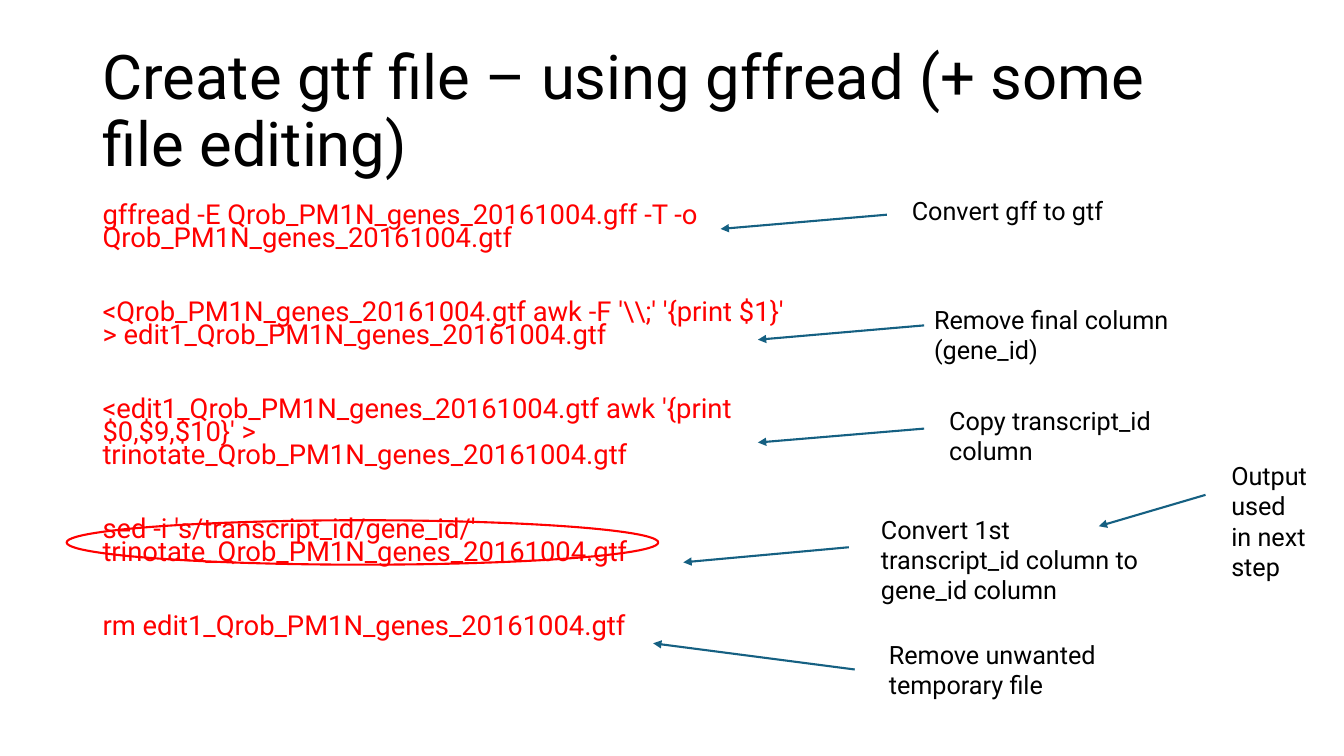
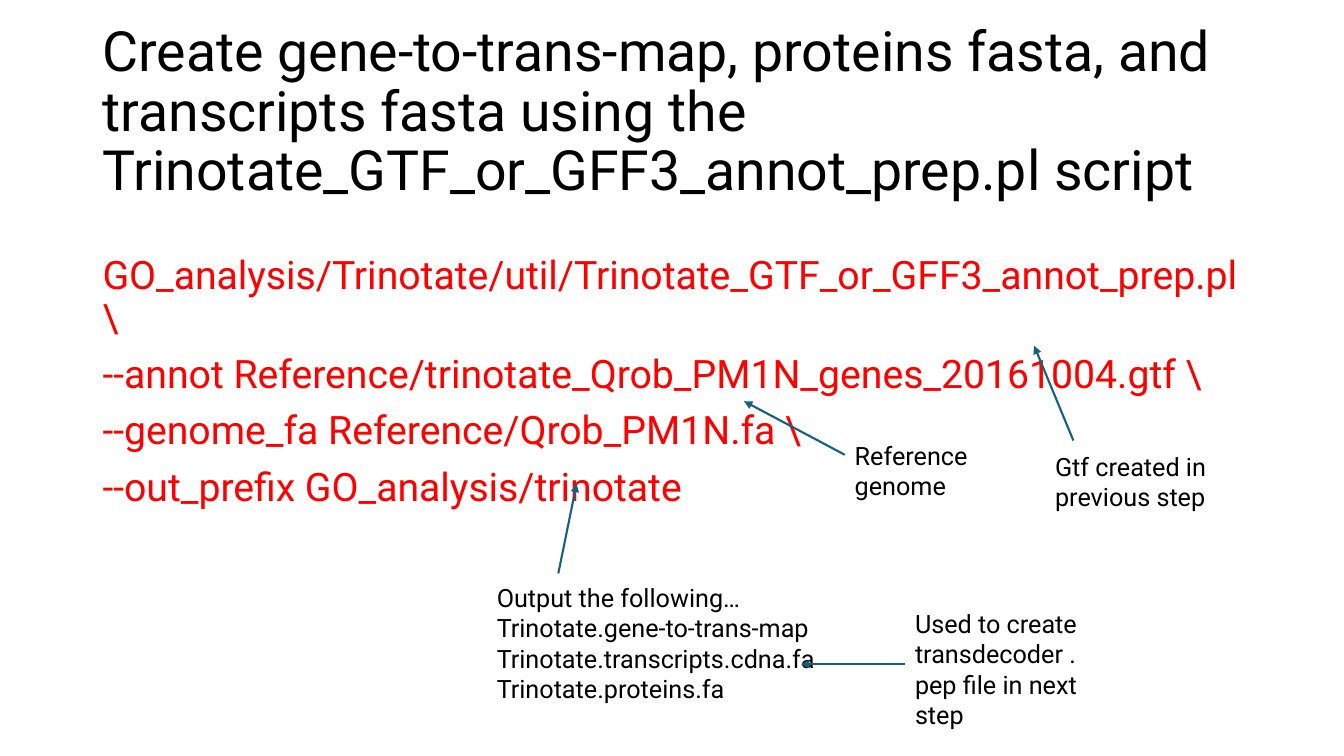
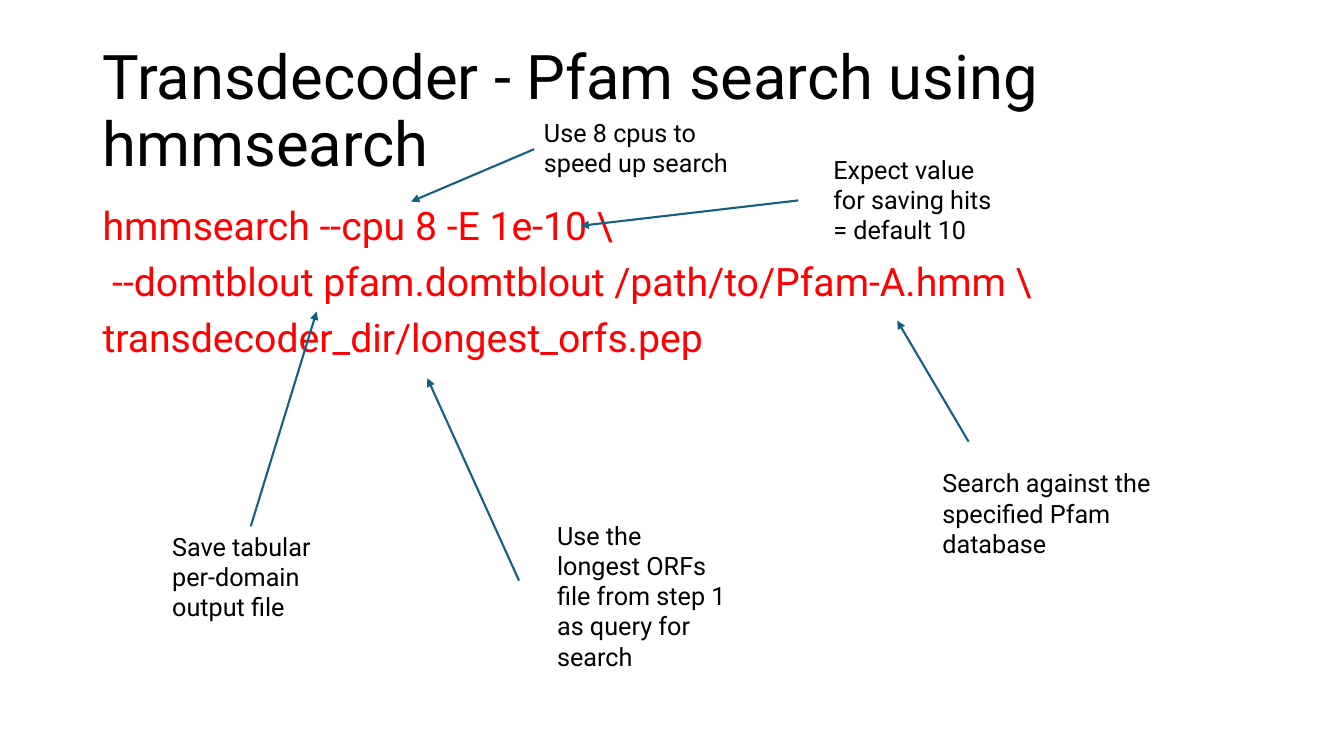
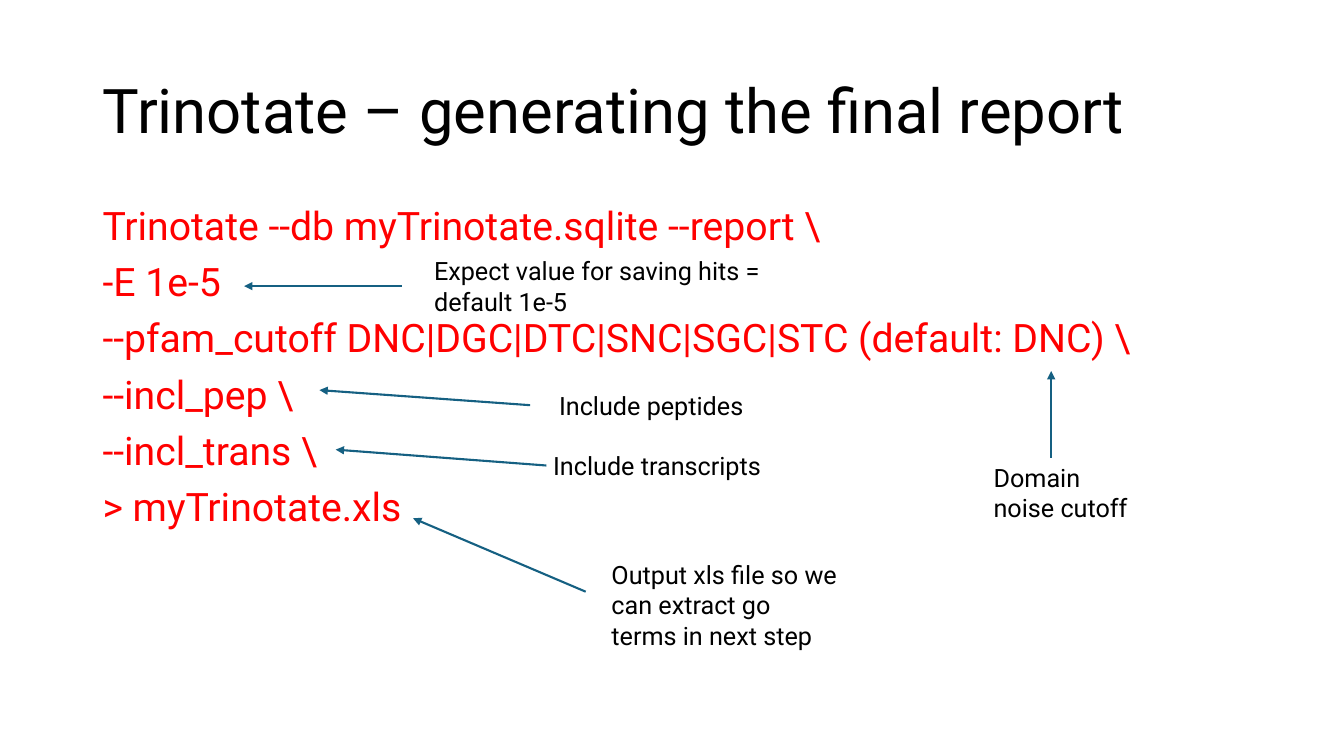
from dataclasses import dataclass

from lxml.etree import SubElement
from pptx import Presentation
from pptx.dml.color import RGBColor
from pptx.enum.shapes import MSO_CONNECTOR, MSO_SHAPE
from pptx.enum.text import MSO_ANCHOR as Anchor, MSO_AUTO_SIZE as AutoSize, PP_ALIGN as Align
from pptx.oxml.ns import qn
from pptx.slide import Slide
from pptx.text.text import TextFrame, _Paragraph as Paragraph
from pptx.util import Cm, Pt


@dataclass(frozen=True)
class Theme:
    font: str = "Roboto"
    text: RGBColor = RGBColor(0, 0, 0)
    code: RGBColor = RGBColor(0xFF, 0, 0)
    arrow: RGBColor = RGBColor(0x15, 0x60, 0x82)
    title_size: float = 44
    code_size: float = 28
    label_size: float = 18
    line_width: float = 1.5
    spacing: float = 0.9
    space_before: float = 10


THEME = Theme()


@dataclass(frozen=True)
class Callout:
    """A label and the arrow that points from it; lengths in cm."""
    text: str
    left: float
    top: float
    width: float
    lines: int
    tail: tuple[float, float]
    head: tuple[float, float]

    @property
    def height(self) -> float:
        return 0.26 + 0.77 * self.lines


@dataclass(frozen=True)
class Box:
    left: float
    top: float
    width: float
    height: float

    def lengths(self) -> tuple[Cm, Cm, Cm, Cm]:
        return Cm(self.left), Cm(self.top), Cm(self.width), Cm(self.height)


@dataclass(frozen=True)
class Page:
    title: str
    commands: list[str]
    callouts: list[Callout]
    body: Box = Box(2.33, 5.07, 29.21, 12.09)
    title_size: float = THEME.title_size
    code_size: float = THEME.code_size
    spacing: float = THEME.spacing
    gap: float = THEME.space_before
    ring: Box | None = None


TITLE_BOX = Box(2.33, 1.01, 29.21, 3.68)

PAGES = [
    Page(
        "Create gtf file – using gffread (+ some file editing)",
        [
            "gffread -E Qrob_PM1N_genes_20161004.gff -T -o Qrob_PM1N_genes_20161004.gtf",
            r"<Qrob_PM1N_genes_20161004.gtf awk -F '\\;' '{print $1}' > edit1_Qrob_PM1N_genes_20161004.gtf",
            "<edit1_Qrob_PM1N_genes_20161004.gtf awk '{print $0,$9,$10}' > trinotate_Qrob_PM1N_genes_20161004.gtf",
            "sed -i 's/transcript_id/gene_id/' trinotate_Qrob_PM1N_genes_20161004.gtf",
            "rm edit1_Qrob_PM1N_genes_20161004.gtf",
        ],
        [
            Callout("Convert gff to gtf", 22.73, 4.8, 7.11, 1, (22.35, 5.41), (18.16, 5.77)),
            Callout("Remove final column (gene_id)", 23.29, 7.54, 7.11, 2, (23.29, 8.2), (19.1, 8.56)),
            Callout("Copy transcript_id column", 23.67, 10.08, 7.11, 2, (23.29, 10.8), (19.1, 11.15)),
            Callout("Convert 1st transcript_id column to gene_id column",
                    21.95, 12.83, 7.11, 3, (21.39, 13.79), (17.22, 14.17)),
            Callout("Remove unwanted temporary file", 22.15, 15.98, 7.11, 2, (21.54, 16.87), (16.46, 16.21)),
            Callout("Output used in next step", 30.78, 11.48, 2.44, 4, (30.38, 12.47), (27.69, 13.26)),
        ],
        body=Box(2.33, 5.07, 17.73, 12.09),
        code_size=19.6,
        spacing=0.7,
        gap=36.4,
        ring=Box(1.68, 13.11, 14.91, 1.12),
    ),
    Page(
        "Create gene-to-trans-map, proteins fasta, and transcripts fasta using the "
        "Trinotate_GTF_or_GFF3_annot_prep.pl script",
        [
            "GO_analysis/Trinotate/util/Trinotate_GTF_or_GFF3_annot_prep.pl \\",
            "--annot Reference/trinotate_Qrob_PM1N_genes_20161004.gtf \\",
            "--genome_fa Reference/Qrob_PM1N.fa \\",
            "--out_prefix GO_analysis/trinotate",
        ],
        [
            Callout("Gtf created in previous step", 26.34, 11.25, 4.47, 2, (27.05, 11.1), (26.06, 8.71)),
            Callout("Reference genome", 21.29, 10.97, 4.47, 2, (21.29, 11.46), (18.75, 10.11)),
            Callout("Output the following…\nTrinotate.gene-to-trans-map\n"
                    "Trinotate.transcripts.cdna.fa\nTrinotate.proteins.fa",
                    12.27, 14.55, 9.83, 5, (14.07, 14.45), (14.53, 12.19)),
            Callout("Used to create transdecoder .pep file in next step",
                    22.81, 15.21, 4.9, 4, (22.81, 16.74), (20.19, 16.74)),
        ],
        body=Box(2.33, 6.32, 29.21, 12.09),
        title_size=39.6,
    ),
    Page(
        "Transdecoder - Pfam search using hmmsearch",
        [
            "hmmsearch --cpu 8 -E 1e-10 \\",
            " --domtblout pfam.domtblout /path/to/Pfam-A.hmm \\",
            "transdecoder_dir/longest_orfs.pep",
        ],
        [
            Callout("Use the longest ORFs file from step 1 as query for search",
                    13.79, 12.98, 4.85, 4, (13.08, 14.63), (10.77, 9.53)),
            Callout("Use 8 cpus to speed up search", 13.46, 2.82, 6.2, 2, (13.46, 3.76), (10.36, 5.08)),
            Callout("Expect value for saving hits = default 10",
                    20.75, 3.76, 4.62, 3, (20.12, 5.05), (14.63, 5.69)),
            Callout("Save tabular per-domain output file", 4.09, 13.26, 5.05, 3, (6.32, 13.26), (7.98, 7.85)),
            Callout("Search against the specified Pfam database",
                    23.5, 11.66, 5.77, 3, (24.41, 11.13), (22.61, 8.08)),
        ],
    ),
    Page(
        "Trinotate – generating the final report",
        [
            "Trinotate --db myTrinotate.sqlite --report \\",
            "-E 1e-5",
            "--pfam_cutoff DNC|DGC|DTC|SNC|SGC|STC (default: DNC) \\",
            "--incl_pep \\",
            "--incl_trans \\",
            "> myTrinotate.xls",
        ],
        [
            Callout("Output xls file so we can extract go terms in next step",
                    15.16, 13.97, 6.2, 3, (14.76, 14.91), (10.41, 13.06)),
            Callout("Include transcripts", 13.69, 11.23, 6.2, 1, (13.77, 11.73), (8.46, 11.33)),
            Callout("Include peptides", 13.84, 9.7, 6.2, 1, (13.36, 10.21), (8.05, 9.83)),
            Callout("Domain noise cutoff", 24.79, 11.53, 4.14, 2, (26.49, 11.53), (26.49, 9.35)),
            Callout("Expect value for saving hits = default 1e-5",
                    10.69, 6.32, 8.92, 2, (10.13, 7.21), (6.15, 7.21)),
        ],
        body=Box(2.33, 5.07, 29.21, 8.53),
    ),
]


def add_lines(tf: TextFrame, lines: list[str], size: float, color: RGBColor) -> list[Paragraph]:
    """Write one left-aligned paragraph for each line."""
    tf.word_wrap = True
    for i, line in enumerate(lines):
        p = tf.paragraphs[0] if i == 0 else tf.add_paragraph()
        p.alignment = Align.LEFT
        r = p.add_run()
        r.text = line
        r.font.name = THEME.font
        r.font.size = Pt(size)
        r.font.color.rgb = color
    return list(tf.paragraphs)


def add_title(s: Slide, page: Page) -> None:
    sp = s.shapes.title
    sp.left, sp.top, sp.width, sp.height = TITLE_BOX.lengths()
    tf = sp.text_frame
    tf.auto_size = AutoSize.NONE
    tf.vertical_anchor = Anchor.MIDDLE
    for p in add_lines(tf, [page.title], page.title_size, THEME.text):
        p.line_spacing = THEME.spacing


def add_commands(s: Slide, page: Page) -> None:
    sp = s.placeholders[1]
    sp.left, sp.top, sp.width, sp.height = page.body.lengths()
    tf = sp.text_frame
    tf.auto_size = AutoSize.NONE
    for i, p in enumerate(add_lines(tf, page.commands, page.code_size, THEME.code)):
        p.line_spacing = page.spacing
        p.space_before = Pt(page.gap if i else THEME.space_before)
        pPr = p._p.get_or_add_pPr()
        pPr.set("marL", "0")
        pPr.set("indent", "0")
        SubElement(pPr, qn("a:buNone"))


def add_arrow(s: Slide, tail: tuple[float, float], head: tuple[float, float]) -> None:
    cx = s.shapes.add_connector(MSO_CONNECTOR.STRAIGHT, *map(Cm, tail + head))
    cx.line.color.rgb = THEME.arrow
    cx.line.width = Pt(THEME.line_width)
    SubElement(cx.line._get_or_add_ln(), qn("a:tailEnd"), type="triangle")
    SubElement(cx._element.spPr, qn("a:effectLst"))


def add_callout(s: Slide, c: Callout) -> None:
    add_arrow(s, c.tail, c.head)
    sp = s.shapes.add_textbox(*Box(c.left, c.top, c.width, c.height).lengths())
    add_lines(sp.text_frame, c.text.split("\n"), THEME.label_size, THEME.text)
    sp.text_frame.auto_size = AutoSize.SHAPE_TO_FIT_TEXT


def add_ring(s: Slide, box: Box) -> None:
    sp = s.shapes.add_shape(MSO_SHAPE.OVAL, *box.lengths())
    sp.shadow.inherit = False
    sp.fill.background()
    sp.line.color.rgb = THEME.code
    sp.line.width = Pt(THEME.line_width)


def main() -> None:
    prs = Presentation()
    prs.slide_width, prs.slide_height = Cm(33.87), Cm(19.05)
    for page in PAGES:
        s = prs.slides.add_slide(prs.slide_layouts[1])
        add_title(s, page)
        add_commands(s, page)
        for c in page.callouts:
            add_callout(s, c)
        if page.ring:
            add_ring(s, page.ring)
    prs.save("out.pptx")


if __name__ == "__main__":
    main()
